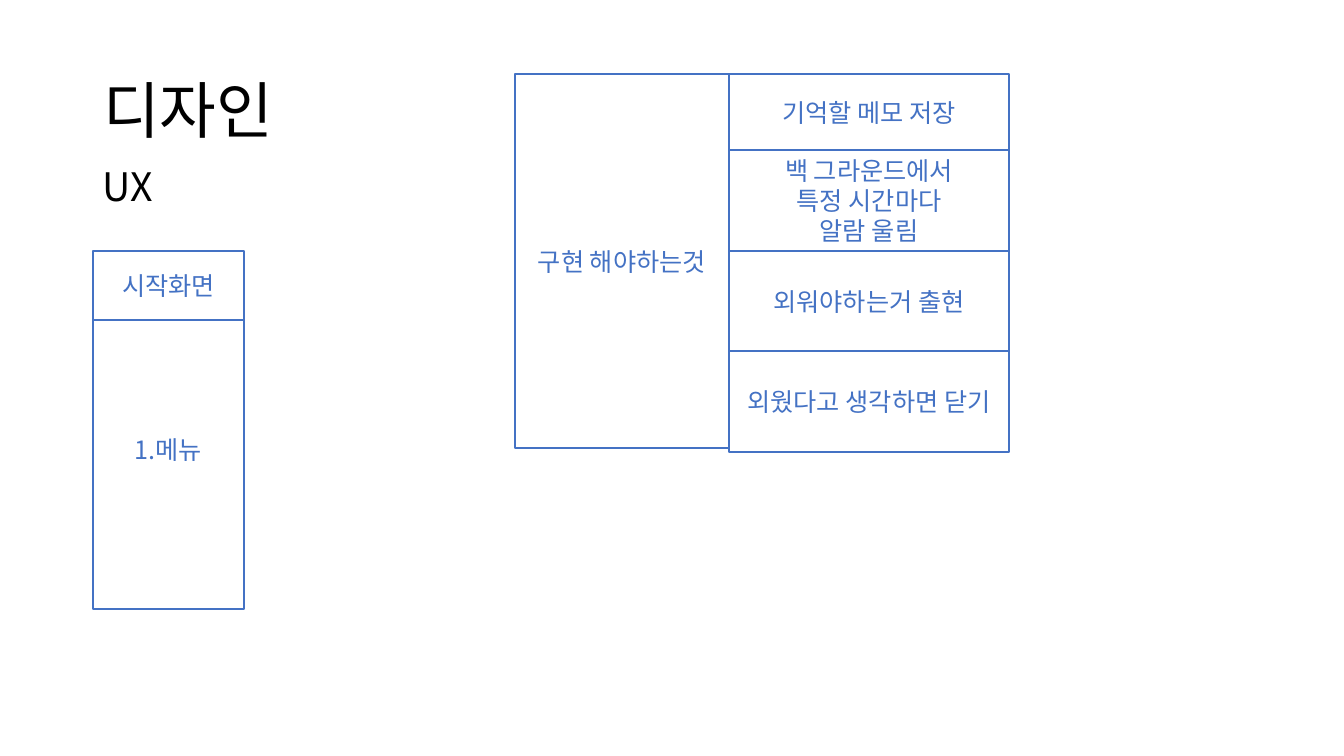
import pptx
import pptx.util
import pptx.dml.color
import pptx.enum.shapes
import pptx.enum.text
import lxml.etree

PIXEL = 914400 / 100.8
FONT = "Noto Sans CJK KR"
BLACK, BLUE = "000000", "4472C4"
ALIGN = pptx.enum.text.PP_ALIGN
ANCHOR = pptx.enum.text.MSO_ANCHOR
AUTO_SIZE = pptx.enum.text.MSO_AUTO_SIZE

TITLE = ("디자인", (93, 40, 1159, 147))
SUBTITLE = ("UX", (93, 157, 72, 57))
BOX_COLUMNS = [
    {"left": 93, "top": 251, "width": 151,
     "boxes": [(69, ["시작화면"], 0), (289, ["1.메뉴"], 30)]},
    {"left": 515, "top": 74, "width": 214,
     "boxes": [(374, ["구현 해야하는것"], 0)]},
    {"left": 729, "top": 74, "width": 280,
     "boxes": [(76, ["기억할 메모 저장"], 0),
               (101, ["백 그라운드에서", "특정 시간마다", "알람 울림"], 0),
               (100, ["외워야하는거 출현"], 0),
               (101, ["외웠다고 생각하면 닫기"], 0)]},
]


def emu(pixels):
    return pptx.util.Emu(round(pixels * PIXEL))


def color(value):
    return pptx.dml.color.RGBColor.from_string(value)


def place(shape, bounds):
    shape.left, shape.top, shape.width, shape.height = map(emu, bounds)


def write(shape, lines, size, text_color, alignment, anchor):
    frame = shape.text_frame
    frame.vertical_anchor = anchor
    for index, line in enumerate(lines):
        paragraph = frame.add_paragraph() if index else frame.paragraphs[0]
        paragraph.alignment = alignment
        run = paragraph.add_run()
        run.text = line
        run.font.size = pptx.util.Pt(size)
        run.font.name = FONT
        run.font.color.rgb = color(text_color)
        east_asian = lxml.etree.SubElement(
            run.font._element, pptx.oxml.ns.qn("a:ea"))
        east_asian.set("typeface", FONT)


def add_box(slide, bounds, lines, space_below):
    box = slide.shapes.add_shape(
        pptx.enum.shapes.MSO_SHAPE.RECTANGLE, *map(emu, bounds))
    box.shadow.inherit = False
    box.fill.background()
    box.line.color.rgb = color(BLUE)
    box.line.width = pptx.util.Pt(1)
    box.text_frame.word_wrap = True
    box.text_frame.margin_bottom += emu(space_below)
    write(box, lines, 18, BLUE, ALIGN.CENTER, ANCHOR.MIDDLE)


presentation = pptx.Presentation()
presentation.slide_width = emu(1344)
presentation.slide_height = emu(756)
slide = presentation.slides.add_slide(presentation.slide_layouts[5])

title_text, title_bounds = TITLE
title = slide.shapes.title
place(title, title_bounds)
title.text_frame.auto_size = AUTO_SIZE.NONE
write(title, [title_text], 44, BLACK, ALIGN.LEFT, ANCHOR.MIDDLE)
title.text_frame.paragraphs[0].line_spacing = 0.9

subtitle_text, subtitle_bounds = SUBTITLE
subtitle = slide.shapes.add_textbox(*map(emu, subtitle_bounds))
subtitle.text_frame.word_wrap = False
subtitle.text_frame.auto_size = AUTO_SIZE.SHAPE_TO_FIT_TEXT
write(subtitle, [subtitle_text], 28, BLACK, ALIGN.LEFT, ANCHOR.TOP)

for column in BOX_COLUMNS:
    top = column["top"]
    for height, lines, space_below in column["boxes"]:
        bounds = (column["left"], top, column["width"], height)
        add_box(slide, bounds, lines, space_below)
        top += height

presentation.save("out.pptx")
